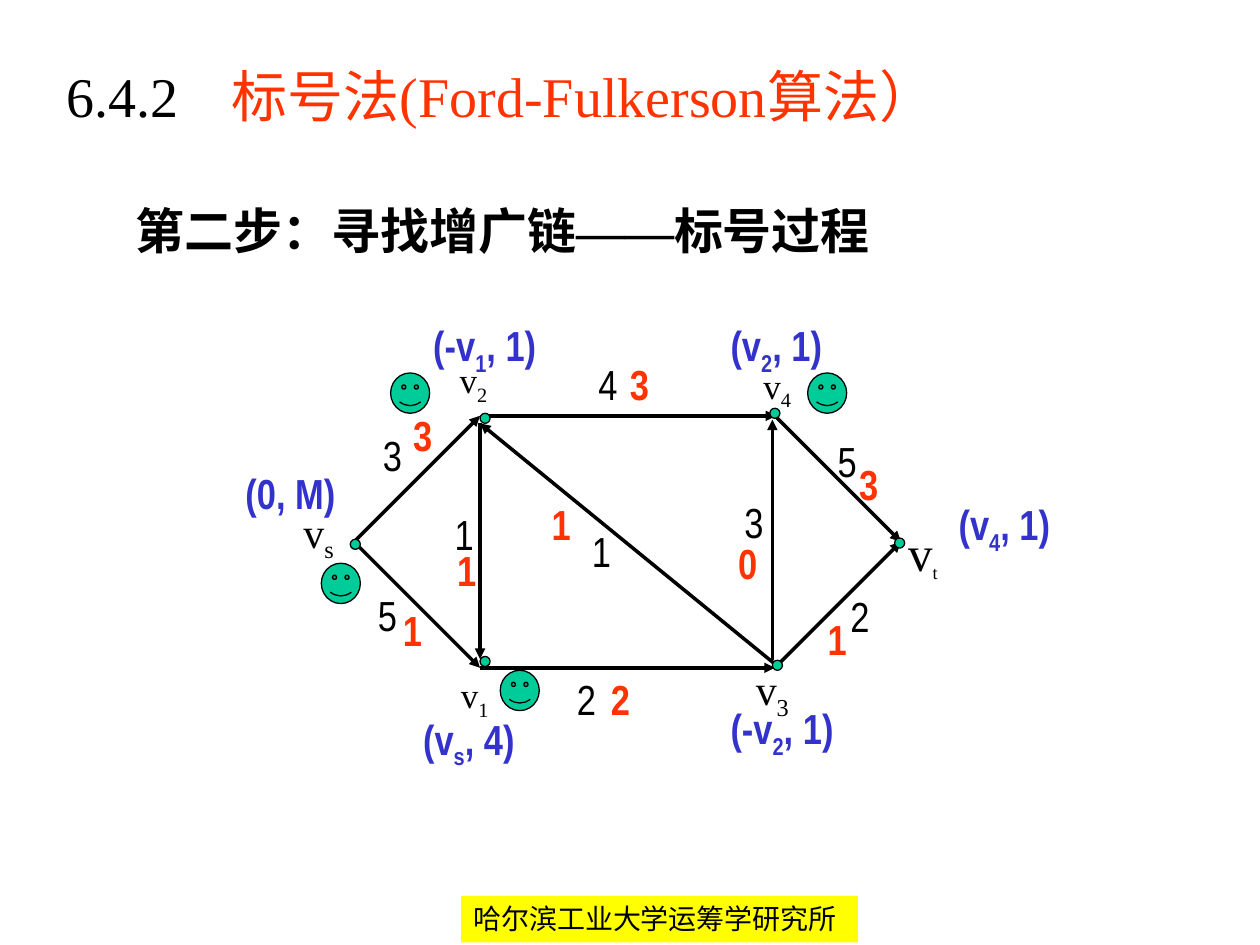
import pptx
import pptx.dml.color
import pptx.enum.shapes
import pptx.enum.text
import pptx.oxml
import pptx.oxml.ns
import pptx.util
from pptx.util import Inches

SHAPE = pptx.enum.shapes.MSO_SHAPE
BLACK, RED, BLUE, GREEN, YELLOW = "000000", "FF3300", "3333CC", "00CC99", "FFFF00"
SERIF, NARROW, CJK = "Times New Roman", "Arial Narrow", "Noto Sans CJK SC"

ARCS = [
    ((1.01, 1.9), (2.01, 0.9), "3", (1.14, 0.96), "3", (1.38, 0.8)),
    ((1.01, 1.9), (2.01, 2.9), "5", (1.1, 2.23), "1", (1.3, 2.35)),
    ((2.03, 0.9), (4.36, 0.9), "4", (2.85, 0.4), "3", (3.1, 0.4)),
    ((2.01, 0.96), (2.01, 2.83), "1", (1.71, 1.59), "1", (1.73, 1.87)),
    ((2.01, 2.9), (4.35, 2.9), "2", (2.68, 2.9), "2", (2.95, 2.9)),
    ((4.35, 2.87), (2.01, 0.96), "1", (2.8, 1.72), "1", (2.48, 1.51)),
    ((4.33, 2.84), (4.33, 0.93), "3", (4.01, 1.49), "0", (3.96, 1.82)),
    ((4.35, 0.9), (5.35, 1.9), "5", (4.75, 1.01), "3", (4.92, 1.19)),
    ((4.35, 2.9), (5.35, 1.9), "2", (4.85, 2.24), "1", (4.67, 2.42)),
]
NODES = [
    ("v_s", 24, None, (0.51, 1.57), "(0, M)", (0.05, 1.26), (0.98, 1.88), (0.75, 2.07)),
    ("v_1", 20, None, (1.76, 2.9), "(v_s_, 4)", (1.46, 3.21), (2.01, 2.81), (2.17, 2.92)),
    ("v_2", 20, None, (1.75, 0.4), "(-v_1_, 1)", (1.54, 0.09), (2.01, 0.88), (1.3, 0.56)),
    ("v_3", 24, None, (4.1, 2.82), "(-v_2_, 1)", (3.9, 3.13), (4.33, 2.84), None),
    ("v_4", 20, None, (4.16, 0.44), "(v_2_, 1)", (3.9, 0.09), (4.31, 0.84), (4.61, 0.56)),
    ("v_t", 28, 18, (5.31, 1.7), "(v_4_, 1)", (5.71, 1.51), (5.3, 1.87), None),
]


def rgb(color):
    return pptx.dml.color.RGBColor.from_string(color)


def add_child(parent, tag, **attributes):
    child = pptx.oxml.parse_xml(f"<a:{tag} {pptx.oxml.ns.nsdecls('a')}/>")
    for key, value in attributes.items():
        child.set(key, value)
    parent.append(child)
    return child


def style(font, size, color, face, bold=False):
    font.size = pptx.util.Pt(size)
    font.color.rgb = rgb(color)
    font.name = face
    font.bold = bold


def add_run(paragraph, text, asian=None):
    run = paragraph.add_run()
    run.text = text
    if asian:
        add_child(run._r.get_or_add_rPr(), "ea", typeface=asian)
    return run


def text_paragraph(slide, box):
    frame = slide.shapes.add_textbox(*map(Inches, box)).text_frame
    frame.word_wrap = True
    return frame.paragraphs[0]


def label(slide, x, y, width, text, size, color, face, bold=False, sub_size=None):
    paragraph = text_paragraph(slide, (x, y, width, 0.56 if "_" in text else 0.5))
    style(paragraph.font, size, color, face, bold)
    for index, part in enumerate(text.split("_")):
        run = add_run(paragraph, part)
        if index % 2:
            run._r.get_or_add_rPr().set("baseline", "-25000")
            if sub_size:
                run.font.size = pptx.util.Pt(sub_size)


def filled(slide, kind, box, color, outline=None):
    shape = slide.shapes.add_shape(kind, *map(Inches, box))
    shape.shadow.inherit = False
    shape.fill.solid()
    shape.fill.fore_color.rgb = rgb(color)
    if outline:
        shape.line.color.rgb = rgb(outline)
        shape.line.width = pptx.util.Pt(0.75)
    else:
        shape.line.fill.background()
    return shape


def arrow(slide, start, end):
    arc = slide.shapes.add_connector(
        pptx.enum.shapes.MSO_CONNECTOR.STRAIGHT, *map(Inches, start + end))
    arc.line.color.rgb = rgb(BLACK)
    arc.line.width = pptx.util.Pt(2)
    add_child(arc.line._get_or_add_ln(), "tailEnd", type="triangle")
    add_child(arc._element.spPr, "effectLst")


def title(slide, box):
    paragraph = text_paragraph(slide, box)
    tabs = add_child(paragraph._p.get_or_add_pPr(), "tabLst")
    add_child(tabs, "tab", pos=str(Inches(1.31)), algn="l")
    style(paragraph.font, 32, BLACK, SERIF)
    add_run(paragraph, "6.4.2\t")
    method = add_run(paragraph, "标号法(Ford-Fulkerson算法）", CJK)
    method.font.color.rgb = rgb(RED)


def step_heading(slide, box):
    paragraph = text_paragraph(slide, box)
    paragraph.line_spacing = 1.15
    style(paragraph.font, 28, BLACK, CJK, True)
    for text, face in (("第二步：寻找增广链", CJK), ("——", SERIF), ("标号过程", CJK)):
        add_run(paragraph, text, face).font.name = face


def network(slide, box):
    left, top = box[:2]

    def place(point):
        return left + point[0], top + point[1]

    for start, end, capacity, capacity_at, flow, flow_at in ARCS:
        arrow(slide, place(start), place(end))
        label(slide, *place(capacity_at), 0.4, capacity, 24, BLACK, NARROW)
        label(slide, *place(flow_at), 0.33, flow, 24, RED, NARROW, True)
    for name, size, sub_size, name_at, mark, mark_at, dot_at, face_at in NODES:
        label(slide, *place(name_at), 0.67, name, size, BLACK, SERIF, sub_size=sub_size)
        label(slide, *place(mark_at), 1.1, mark, 24, BLUE, NARROW, True)
        filled(slide, SHAPE.OVAL, place(dot_at) + (0.08, 0.08), GREEN, BLACK)
        if face_at:
            filled(slide, SHAPE.SMILEY_FACE, place(face_at) + (0.31, 0.32), GREEN, BLACK)


def footer(slide, box):
    frame = filled(slide, SHAPE.RECTANGLE, box, YELLOW).text_frame
    frame.word_wrap = True
    frame.vertical_anchor = pptx.enum.text.MSO_ANCHOR.TOP
    paragraph = frame.paragraphs[0]
    paragraph.alignment = pptx.enum.text.PP_ALIGN.LEFT
    style(paragraph.font, 16, BLACK, CJK)
    add_run(paragraph, "哈尔滨工业大学运筹学研究所", CJK)


def main():
    deck = pptx.Presentation()
    deck.slide_width, deck.slide_height = Inches(10), Inches(7.5)
    slide = deck.slides.add_slide(deck.slide_layouts[6])
    footer(slide, (3.66, 7.11, 3.15, 0.37))
    title(slide, (0.43, 0.44, 8.98, 0.83))
    step_heading(slide, (0.98, 1.47, 7.4, 0.71))
    network(slide, (1.8, 2.4, 6.8, 3.8))
    deck.save("out.pptx")


if __name__ == "__main__":
    main()
